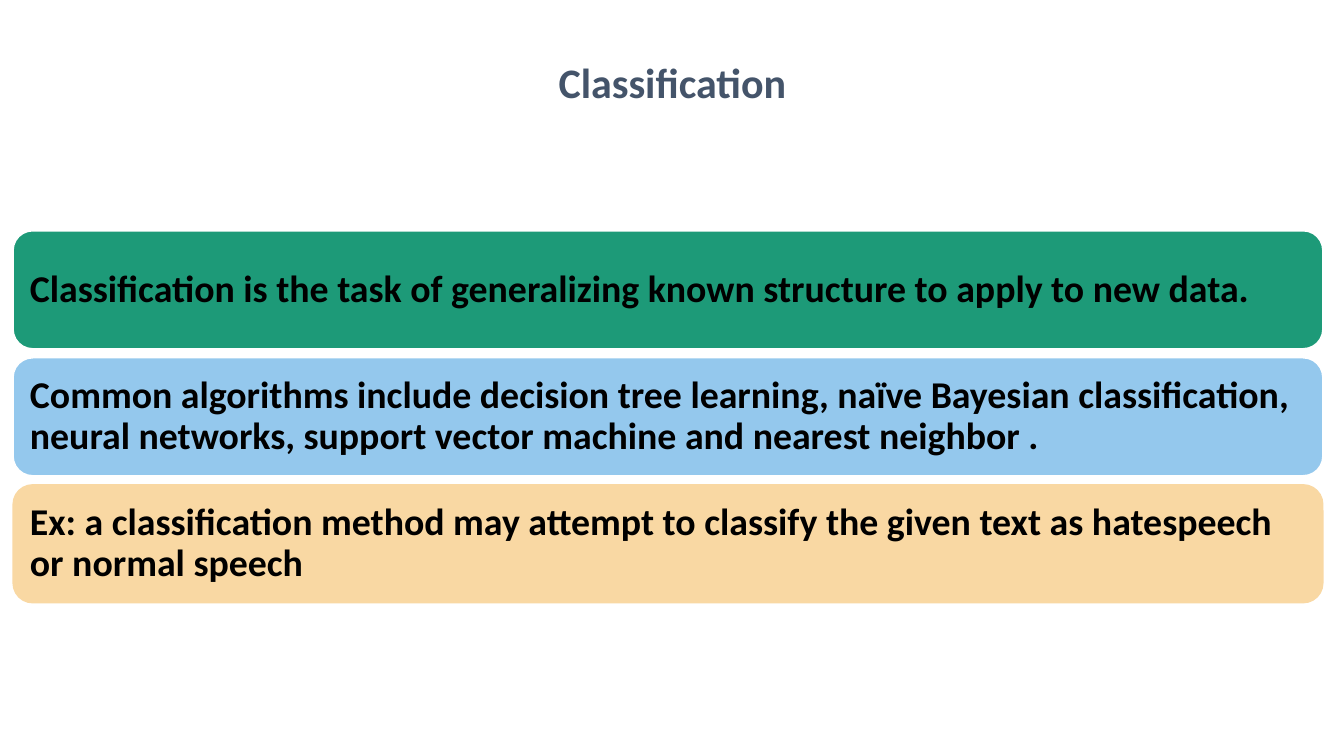
from dataclasses import dataclass

from pptx import Presentation
from pptx.dml.color import RGBColor
from pptx.enum.shapes import MSO_SHAPE
from pptx.enum.text import MSO_ANCHOR, MSO_AUTO_SIZE, PP_ALIGN
from pptx.slide import Slide
from pptx.text.text import TextFrame
from pptx.util import Emu, Pt

EMU_PER_PX = 9144


@dataclass(frozen=True)
class Theme:
    font: str = "Calibri"
    title: str = "44546A"
    body: str = "000000"
    white: str = "FFFFFF"
    green: str = "1D9A78"
    blue: str = "94C8ED"
    sand: str = "F9D8A3"
    title_pt: int = 30
    body_pt: int = 27
    line_pt: int = 1
    line_spacing: float = 0.9


@dataclass(frozen=True)
class Band:
    text: str
    fill: str
    line: str


THEME = Theme()
BAND_LEFT, BAND_TOP, BAND_WIDTH, BAND_HEIGHT = 13, 229, 1299, 117
BAND_PITCH = 126
BAND_INSET = 11

BANDS = [
    Band("Classification is the task of generalizing known structure to apply to new data.",
         THEME.green, THEME.white),
    Band("Common algorithms include decision tree learning, naïve Bayesian classification, "
         "neural networks, support vector machine and nearest neighbor .",
         THEME.blue, THEME.white),
    Band("Ex: a classification method may attempt to classify the given text as hatespeech "
         "or normal speech",
         THEME.sand, THEME.sand),
]


def px(n: int) -> Emu:
    return Emu(n * EMU_PER_PX)


def rgb(color: str) -> RGBColor:
    return RGBColor.from_string(color)


def set_insets(tf: TextFrame, left: int, top: int, right: int, bottom: int) -> None:
    tf.margin_left, tf.margin_top = px(left), px(top)
    tf.margin_right, tf.margin_bottom = px(right), px(bottom)


def write(tf: TextFrame, text: str, size: int, color: str,
          align: PP_ALIGN, anchor: MSO_ANCHOR) -> None:
    tf.word_wrap = True
    tf.auto_size = MSO_AUTO_SIZE.NONE
    tf.vertical_anchor = anchor
    p = tf.paragraphs[0]
    p.alignment = align
    p.line_spacing = THEME.line_spacing
    r = p.add_run()
    r.text = text
    r.font.name = THEME.font
    r.font.size = Pt(size)
    r.font.bold = True
    r.font.color.rgb = rgb(color)


def add_title(s: Slide, text: str) -> None:
    sp = s.shapes.title
    sp.left, sp.top, sp.width, sp.height = px(217), px(30), px(900), px(77)
    set_insets(sp.text_frame, 0, 5, 0, 0)
    write(sp.text_frame, text, THEME.title_pt, THEME.title,
          PP_ALIGN.CENTER, MSO_ANCHOR.BOTTOM)


def add_band(s: Slide, band: Band, top: int) -> None:
    sp = s.shapes.add_shape(MSO_SHAPE.ROUNDED_RECTANGLE, px(BAND_LEFT), px(top),
                            px(BAND_WIDTH), px(BAND_HEIGHT))
    sp.shadow.inherit = False
    sp.fill.solid()
    sp.fill.fore_color.rgb = rgb(band.fill)
    sp.line.color.rgb = rgb(band.line)
    sp.line.width = Pt(THEME.line_pt)
    set_insets(sp.text_frame, BAND_INSET, BAND_INSET, BAND_INSET, BAND_INSET)
    write(sp.text_frame, band.text, THEME.body_pt, THEME.body,
          PP_ALIGN.LEFT, MSO_ANCHOR.MIDDLE)


def main() -> None:
    prs = Presentation()
    prs.slide_width, prs.slide_height = px(1333), px(750)
    s = prs.slides.add_slide(prs.slide_layouts[5])
    add_title(s, "Classification")
    for i, band in enumerate(BANDS):
        add_band(s, band, BAND_TOP + i * BAND_PITCH)
    prs.save("out.pptx")


if __name__ == "__main__":
    main()
